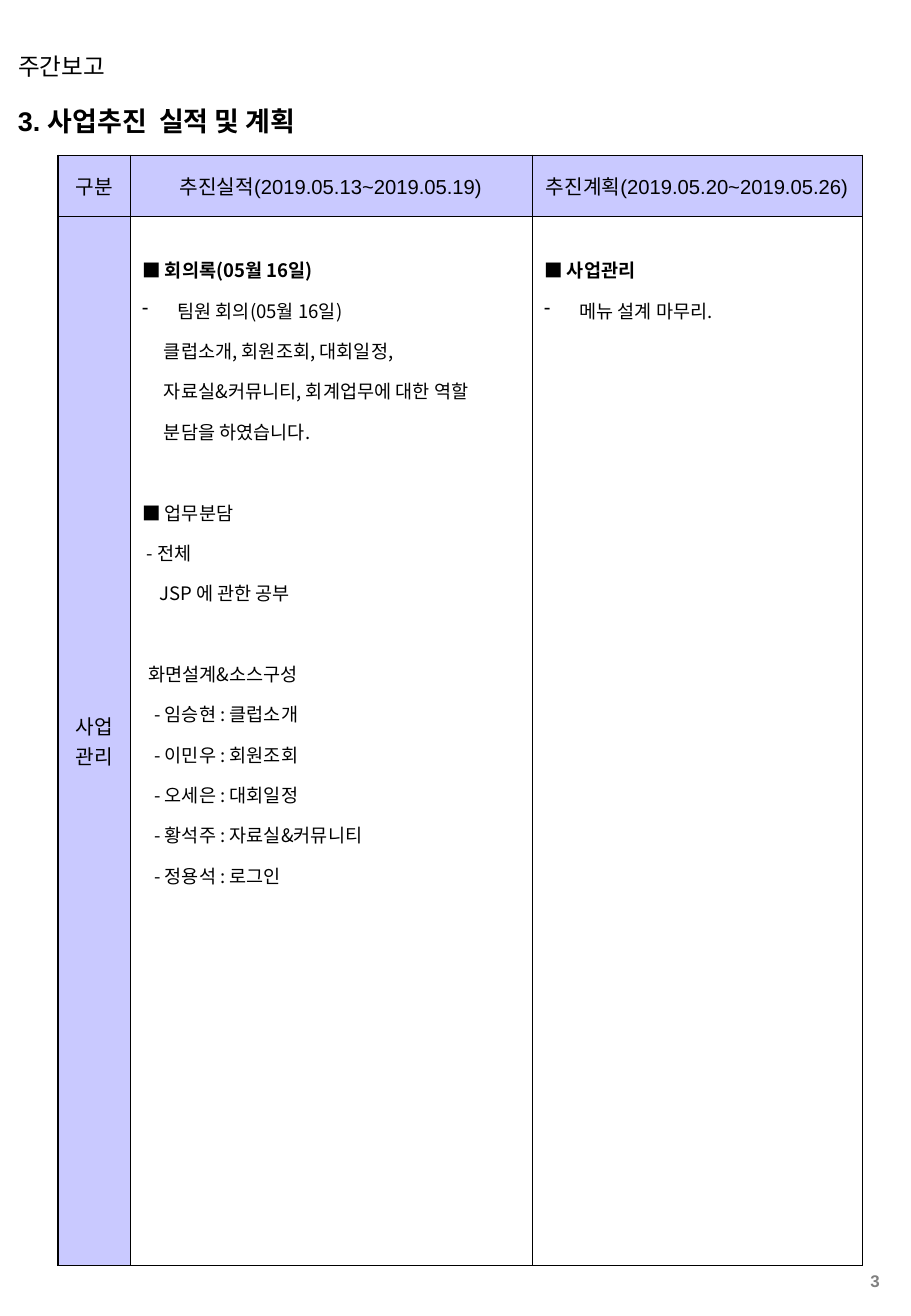
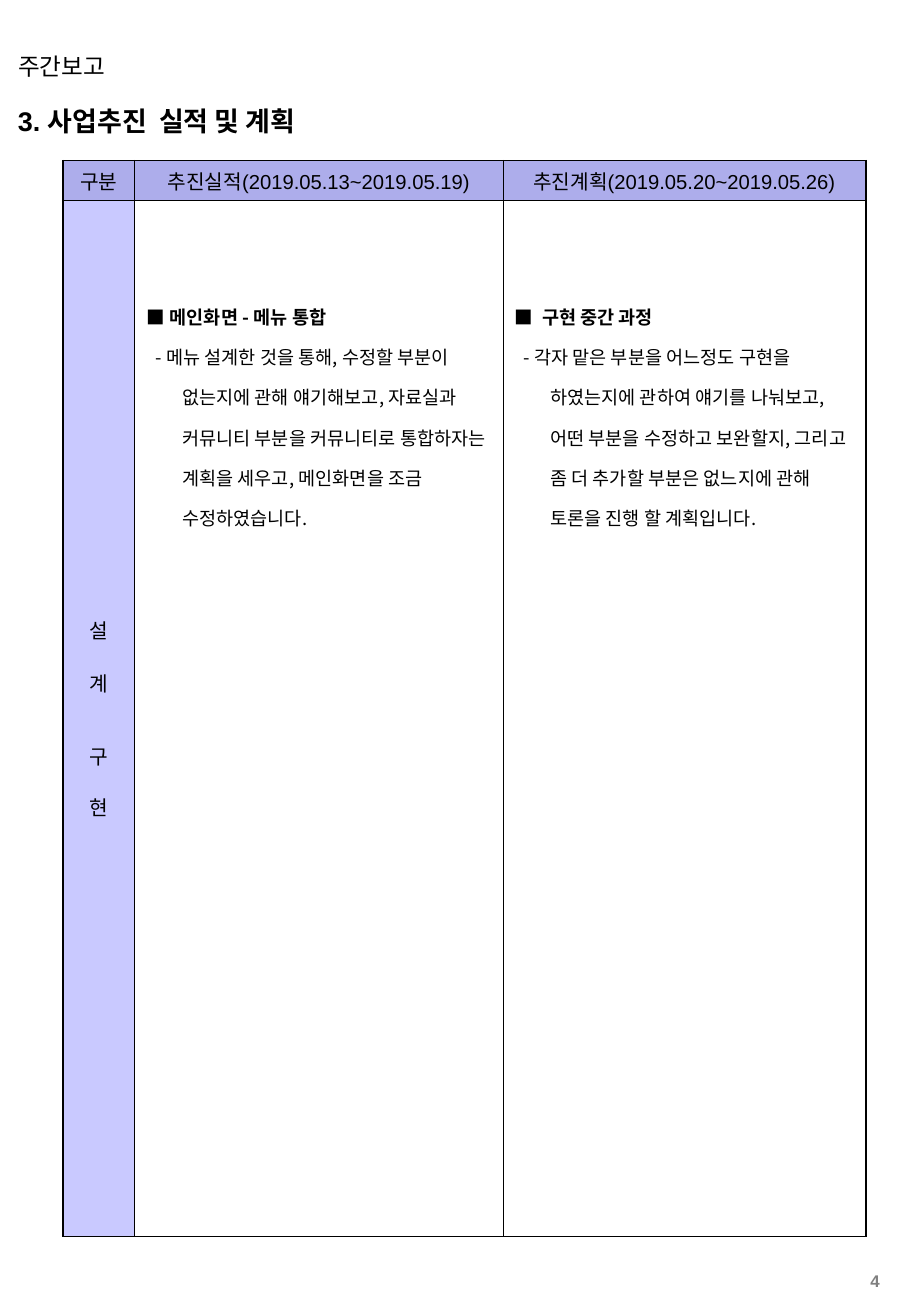
from lxml.etree import SubElement
from pptx import Presentation
from pptx.dml.color import RGBColor
from pptx.enum.text import MSO_ANCHOR, PP_ALIGN
from pptx.oxml.ns import qn
from pptx.util import Emu, Pt

EMU_PER_PX = 9144  # 100 px to the inch
SLIDE_SIZE = (750, 1084)

BLACK = RGBColor(0x00, 0x00, 0x00)
GRAY = RGBColor(0x80, 0x80, 0x80)
LAVENDER = RGBColor(0xC9, 0xC9, 0xFF)
VIOLET = RGBColor(0xAD, 0xAD, 0xEB)
LATIN_FONT = "Arial"
KOREAN_FONT = "Noto Sans CJK KR"
THIN, THICK = 0.45, 1.08
BLANK_LINE = 24  # points, one body line

REPORT_NAME = "주간보고"
TITLE = "3. 사업추진  실적 및 계획"
HEADERS = ["구분", "추진실적(2019.05.13~2019.05.19)", "추진계획(2019.05.20~2019.05.26)"]

# Body styles: left margin px, first-line indent px, bold, bullet
STYLES = {
    "heading": (29, -29, True, None),
    "topic": (29, -29, False, None),
    "bullet": (29, -29, False, "-"),
    "dash": (29, -25, False, None),
    "dash_deep": (29, -19, False, None),
    "dash_wrapped": (29, -22, False, None),
    "caption": (5, 0, False, None),
    "study": (14, 0, False, None),
    "detail": (18, 0, False, None),
}

# Labels: (text, space before); body lines: (style, text, space before)
PAGES = [
    {
        "number": "3",
        "origin": (48, 128),
        "columns": [59, 331, 272],
        "rows": [50, 864],
        "header_fill": LAVENDER,
        "top_border": THICK,
        "body_top": 22,
        "label": [("사업", 0), ("관리", 0)],
        "results": [
            ("heading", "■ 회의록(05월 16일)", 0),
            ("bullet", "팀원 회의(05월 16일)", 0),
            ("detail", "클럽소개, 회원조회, 대회일정,", 0),
            ("detail", "자료실&커뮤니티, 회계업무에 대한 역할", 0),
            ("detail", "분담을 하였습니다.", 0),
            ("topic", "■ 업무분담", BLANK_LINE),
            ("dash", "- 전체", 0),
            ("study", "JSP 에 관한 공부", 0),
            ("caption", "화면설계&소스구성", BLANK_LINE),
            ("dash_deep", "- 임승현 : 클럽소개", 0),
            ("dash_deep", "- 이민우 : 회원조회", 0),
            ("dash_deep", "- 오세은 : 대회일정", 0),
            ("dash_deep", "- 황석주 : 자료실&커뮤니티", 0),
            ("dash_deep", "- 정용석 : 로그인", 0),
        ],
        "plans": [
            ("heading", "■ 사업관리", 0),
            ("bullet", "메뉴 설계 마무리.", 0),
        ],
    },
    {
        "number": "4",
        "origin": (52, 132),
        "columns": [59, 303, 299],
        "rows": [33, 853],
        "header_fill": VIOLET,
        "top_border": THIN,
        "body_top": 73,
        "label": [("설", 0), ("계", 14), ("구", 26), ("현", 13)],
        "results": [
            ("heading", "■ 메인화면 - 메뉴 통합", 0),
            ("dash_wrapped", "- 메뉴 설계한 것을 통해, 수정할 부분이 없는지에 관해 얘기해보고, "
             "자료실과 커뮤니티 부분을 커뮤니티로 통합하자는 계획을 세우고, "
             "메인화면을 조금 수정하였습니다.", 0),
        ],
        "plans": [
            ("heading", "■  구현 중간 과정", 0),
            ("dash_wrapped", "- 각자 맡은 부분을 어느정도 구현을 하였는지에 관하여 얘기를 나눠보고, "
             "어떤 부분을 수정하고 보완할지, 그리고 좀 더 추가할 부분은 없느지에 "
             "관해 토론을 진행 할 계획입니다.", 0),
        ],
    },
]


def px(length):
    return Emu(length * EMU_PER_PX)


def set_font(paragraph, size, name=LATIN_FONT, color=BLACK, bold=False):
    font = paragraph.font
    font.size, font.bold, font.name = Pt(size), bold, name
    font.color.rgb = color
    properties = paragraph._p.pPr.find(qn("a:defRPr"))
    properties.set("kern", "0")  # no pair kerning
    SubElement(properties, qn("a:ea")).set("typeface", KOREAN_FONT)


def next_paragraph(frame, index):
    return frame.paragraphs[0] if index == 0 else frame.add_paragraph()


def add_text(slide, box, text, size, align=PP_ALIGN.LEFT, **font):
    frame = slide.shapes.add_textbox(*map(px, box)).text_frame
    frame.word_wrap = True
    paragraph = frame.paragraphs[0]
    paragraph.text = text
    paragraph.alignment = align
    set_font(paragraph, size, **font)


def set_borders(cell, widths):
    properties = cell._tc.get_or_add_tcPr()
    for side, width in zip("LRTB", widths):
        line = SubElement(properties, qn(f"a:ln{side}"), w=str(Pt(width)))
        fill = SubElement(line, qn("a:solidFill"))
        SubElement(fill, qn("a:srgbClr"), val=str(BLACK))


def fill_label(cell, lines, color):
    cell.fill.solid()
    cell.fill.fore_color.rgb = color
    cell.vertical_anchor = MSO_ANCHOR.MIDDLE
    for index, (text, gap) in enumerate(lines):
        paragraph = next_paragraph(cell.text_frame, index)
        paragraph.text = text
        paragraph.alignment = PP_ALIGN.CENTER
        if gap:
            paragraph.space_before = Pt(gap)
        set_font(paragraph, 12)


def fill_body(cell, lines, top):
    cell.fill.background()
    cell.margin_top = px(top)
    for index, (style, text, gap) in enumerate(lines):
        left, indent, bold, bullet = STYLES[style]
        paragraph = next_paragraph(cell.text_frame, index)
        paragraph.text = text
        properties = paragraph._p.get_or_add_pPr()
        properties.set("marL", str(px(left)))
        properties.set("indent", str(px(indent)))
        if bullet:
            SubElement(properties, qn("a:buChar"), char=bullet)
        paragraph.line_spacing = 1.5
        if gap:
            paragraph.space_before = Pt(gap)
        set_font(paragraph, 11, name=KOREAN_FONT, bold=bold)


def add_report_table(slide, page):
    columns, rows = page["columns"], page["rows"]
    size = (sum(columns), sum(rows))
    table = slide.shapes.add_table(
        len(rows), len(columns), *map(px, page["origin"] + size)).table
    table.first_row = table.horz_banding = False
    for column, width in zip(table.columns, columns):
        column.width = px(width)
    for row, height in zip(table.rows, rows):
        row.height = px(height)

    # Heavier rule on the outer sides
    last = len(columns) - 1
    for row in range(len(rows)):
        for column in range(len(columns)):
            set_borders(table.cell(row, column), (
                THICK if column == 0 else THIN,
                THICK if column == last else THIN,
                page["top_border"] if row == 0 else THIN,
                THIN))

    for column, header in enumerate(HEADERS):
        fill_label(table.cell(0, column), [(header, 0)], page["header_fill"])
    fill_label(table.cell(1, 0), page["label"], LAVENDER)
    fill_body(table.cell(1, 1), page["results"], page["body_top"])
    fill_body(table.cell(1, 2), page["plans"], page["body_top"])


def add_page(presentation, page):
    slide = presentation.slides.add_slide(presentation.slide_layouts[6])
    add_text(slide, (678, 1042, 56, 24), page["number"], 10,
             PP_ALIGN.RIGHT, color=GRAY, bold=True)
    add_text(slide, (5, 38, 595, 34), REPORT_NAME, 14)
    add_report_table(slide, page)
    add_text(slide, (5, 81, 536, 37), TITLE, 16, bold=True)


def main():
    presentation = Presentation()
    presentation.slide_width, presentation.slide_height = map(px, SLIDE_SIZE)
    for page in PAGES:
        add_page(presentation, page)
    presentation.save("out.pptx")


if __name__ == "__main__":
    main()
